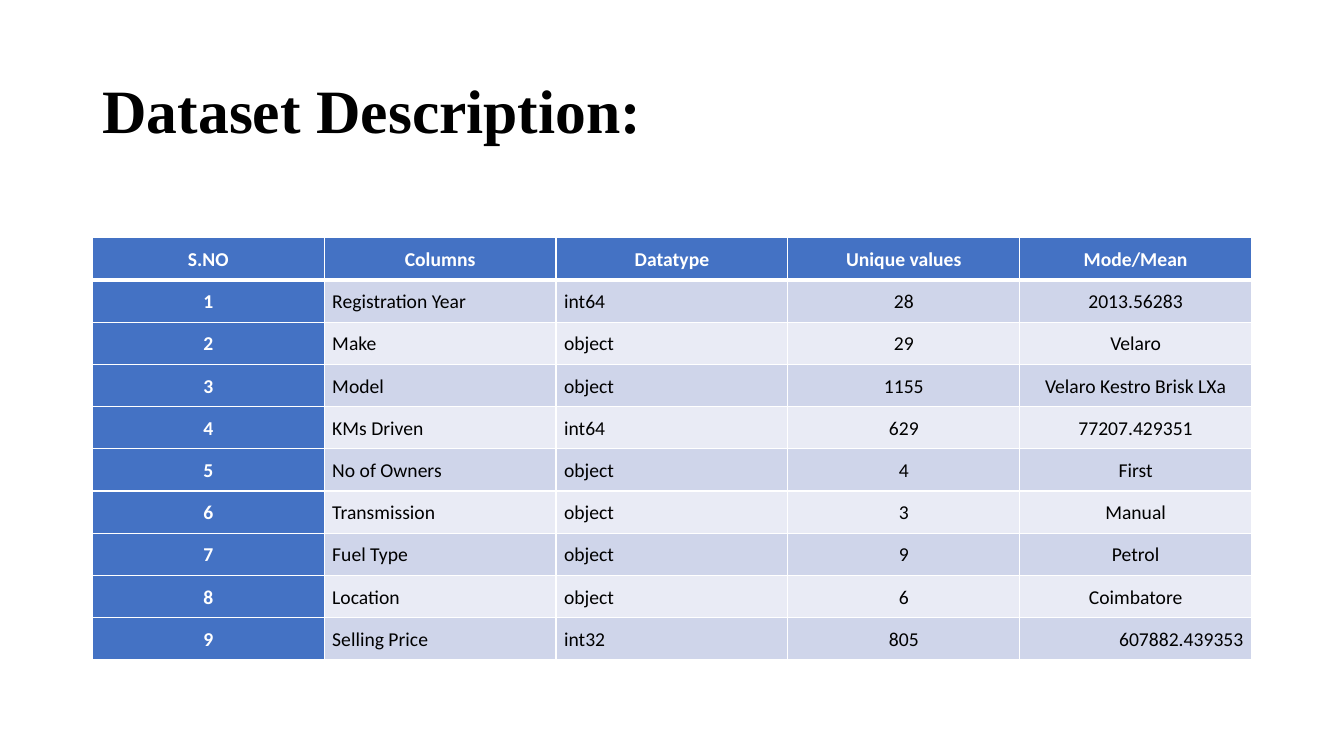
from pptx import Presentation
from pptx import util as u
from pptx.dml.color import RGBColor
from pptx.enum import text
from pptx.oxml import parse_xml
from pptx.oxml.ns import nsdecls

Pt = u.Pt
COLORS = {"header": "4472C4", "odd": "CFD5EA", "even": "E9EBF5",
          "white": "FFFFFF", "black": "000000"}
LEFT, CENTER, RIGHT = (text.PP_ALIGN.LEFT, text.PP_ALIGN.CENTER, text.PP_ALIGN.RIGHT)
COLUMN_ALIGNMENTS = [CENTER, LEFT, LEFT, CENTER, CENTER]
ROWS = [
    ("S.NO", "Columns", "Datatype", "Unique values", "Mode/Mean"),
    ("1", "Registration Year", "int64", "28", "2013.56283"),
    ("2", "Make", "object", "29", "Velaro"),
    ("3", "Model", "object", "1155", "Velaro Kestro Brisk LXa"),
    ("4", "KMs Driven", "int64", "629", "77207.429351"),
    ("5", "No of Owners", "object", "4", "First"),
    ("6", "Transmission", "object", "3", "Manual"),
    ("7", "Fuel Type", "object", "9", "Petrol"),
    ("8", "Location", "object", "6", "Coimbatore"),
    ("9", "Selling Price", "int32", "805", "607882.439353"),
]


def format_font(paragraph, name, size, color, bold):
    """Apply one font to every run of a paragraph."""
    for run in paragraph.runs:
        run.font.name = name
        run.font.size = Pt(size)
        run.font.bold = bold
        run.font.color.rgb = RGBColor.from_string(COLORS[color])


def set_borders(cell, top, bottom):
    """Draw white cell borders; top and bottom widths are in points."""
    properties = cell._tc.get_or_add_tcPr()
    widths = {"lnL": 1, "lnR": 1, "lnT": top, "lnB": bottom}
    for index, (tag, width) in enumerate(widths.items()):
        properties.insert(index, parse_xml(
            f'<a:{tag} {nsdecls("a")} w="{int(Pt(width))}"><a:solidFill>'
            f'<a:srgbClr val="{COLORS["white"]}"/></a:solidFill></a:{tag}>'))


def format_cell(cell, value, row, alignment, is_label):
    """Fill one cell; labels are the header row and the number column."""
    cell.text_frame.text = value
    cell.vertical_anchor = text.MSO_ANCHOR.MIDDLE
    cell.margin_left = cell.margin_right = Pt(5.75)
    cell.margin_top = cell.margin_bottom = Pt(5.75)
    fill = "header" if is_label else ("odd" if row % 2 else "even")
    cell.fill.solid()
    cell.fill.fore_color.rgb = RGBColor.from_string(COLORS[fill])
    set_borders(cell, top=3 if row == 1 else 1, bottom=3 if row == 0 else 1)
    paragraph = cell.text_frame.paragraphs[0]
    paragraph.alignment = alignment
    paragraph.line_spacing = 1.07
    paragraph.space_before = Pt(12)
    paragraph.space_after = Pt(8)
    format_font(paragraph, "Calibri", 14, "white" if is_label else "black", is_label)


def add_title(slide, left, top, width, height):
    """Place the slide heading in the title placeholder."""
    title = slide.shapes.title
    title.left, title.top, title.width, title.height = map(Pt, (left, top, width, height))
    frame = title.text_frame
    frame.text = "Dataset Description:"
    frame.word_wrap = True
    frame.auto_size = text.MSO_AUTO_SIZE.NONE
    frame.vertical_anchor = text.MSO_ANCHOR.MIDDLE
    paragraph = frame.paragraphs[0]
    paragraph.alignment = LEFT
    paragraph.line_spacing = 0.9
    format_font(paragraph, "Times New Roman", 44, "black", True)


def add_dataset_table(slide, left, top, width, height):
    """Add the column overview with equal columns and rows."""
    columns = len(COLUMN_ALIGNMENTS)
    table = slide.shapes.add_table(
        len(ROWS), columns, Pt(left), Pt(top), Pt(width), Pt(height)).table
    table.first_col = True
    for column in table.columns:
        column.width = Pt(width / columns)
    for row, values in enumerate(ROWS):
        table.rows[row].height = Pt(height / len(ROWS))
        for column, value in enumerate(values):
            alignment = CENTER if row == 0 else COLUMN_ALIGNMENTS[column]
            format_cell(table.cell(row, column), value, row, alignment,
                        is_label=row == 0 or column == 0)
    last_cell = table.cell(len(ROWS) - 1, columns - 1)
    last_cell.text_frame.paragraphs[0].alignment = RIGHT


def build_slide(presentation):
    """Build the dataset description slide."""
    slide = presentation.slides.add_slide(presentation.slide_layouts[5])
    add_title(slide, 66, 28.75, 828, 104.4)
    add_dataset_table(slide, 66, 169.9, 828, 301.5)


presentation = Presentation()
presentation.slide_width, presentation.slide_height = Pt(960), Pt(540)
build_slide(presentation)
presentation.save("out.pptx")
